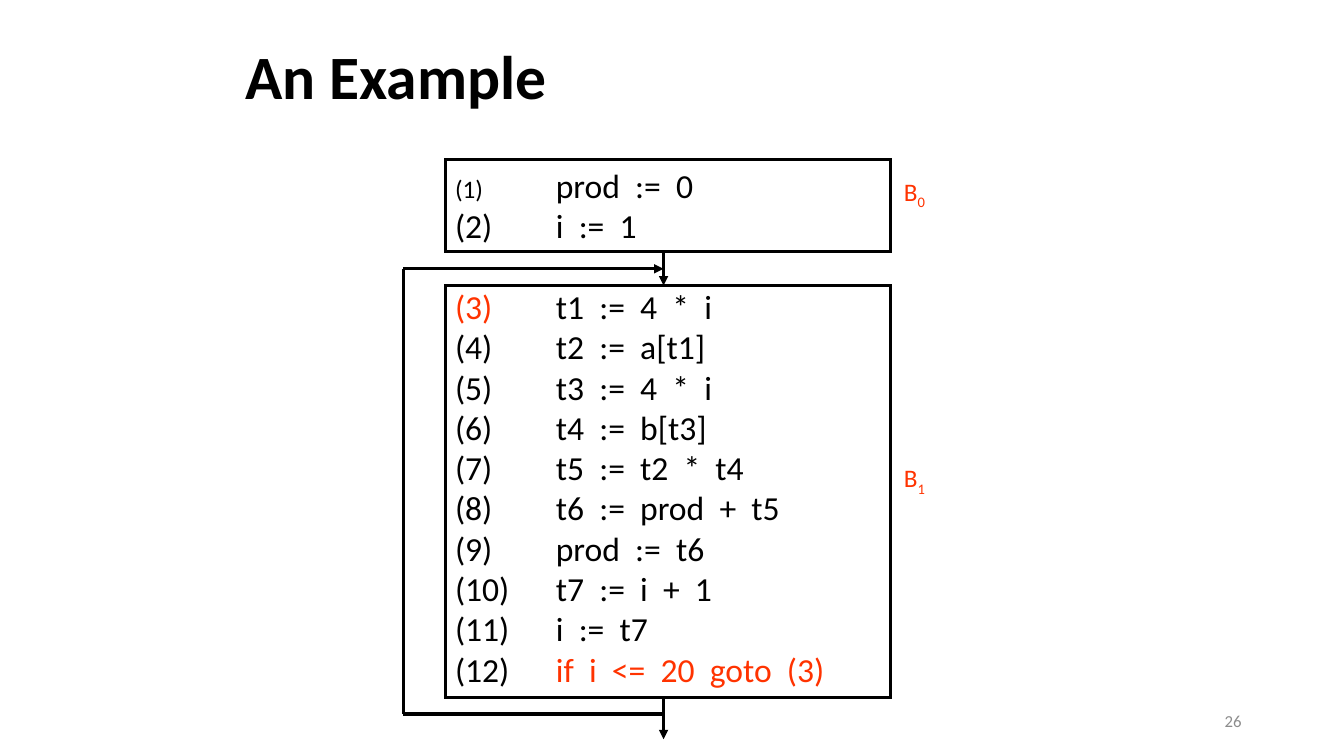
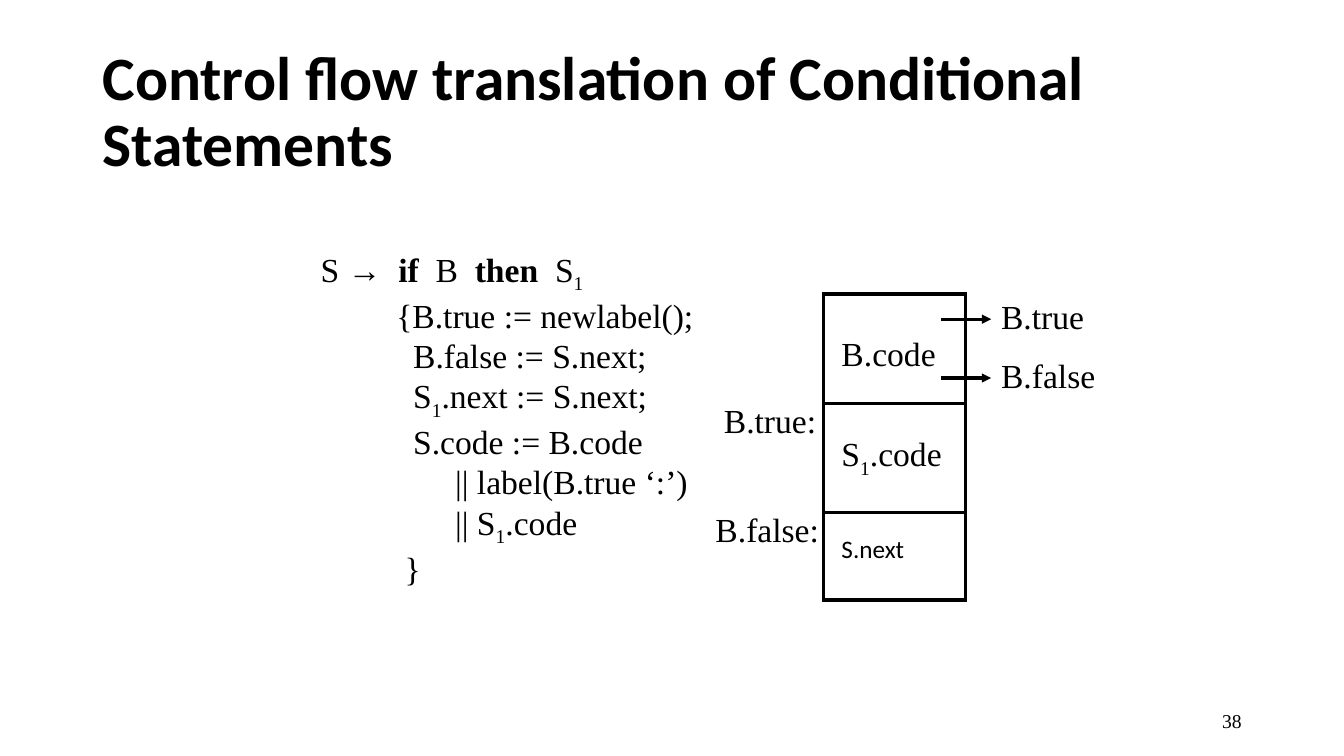
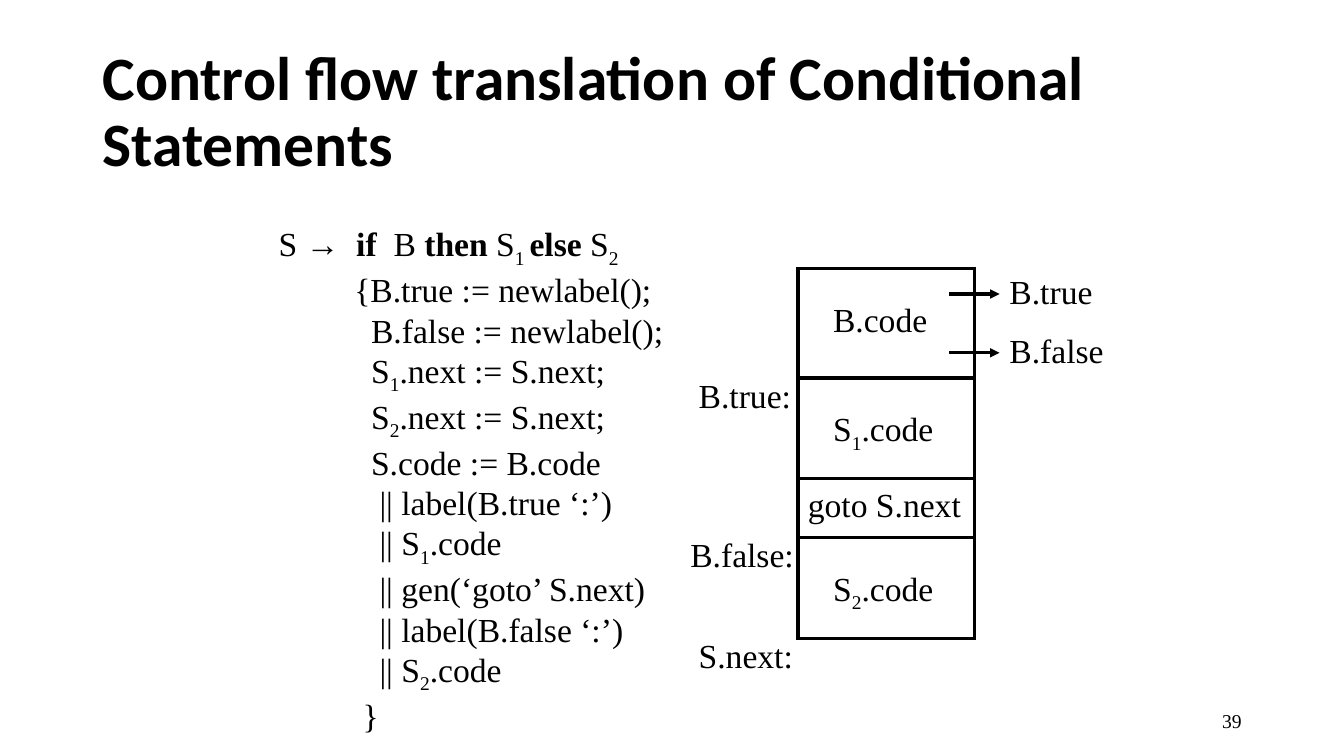
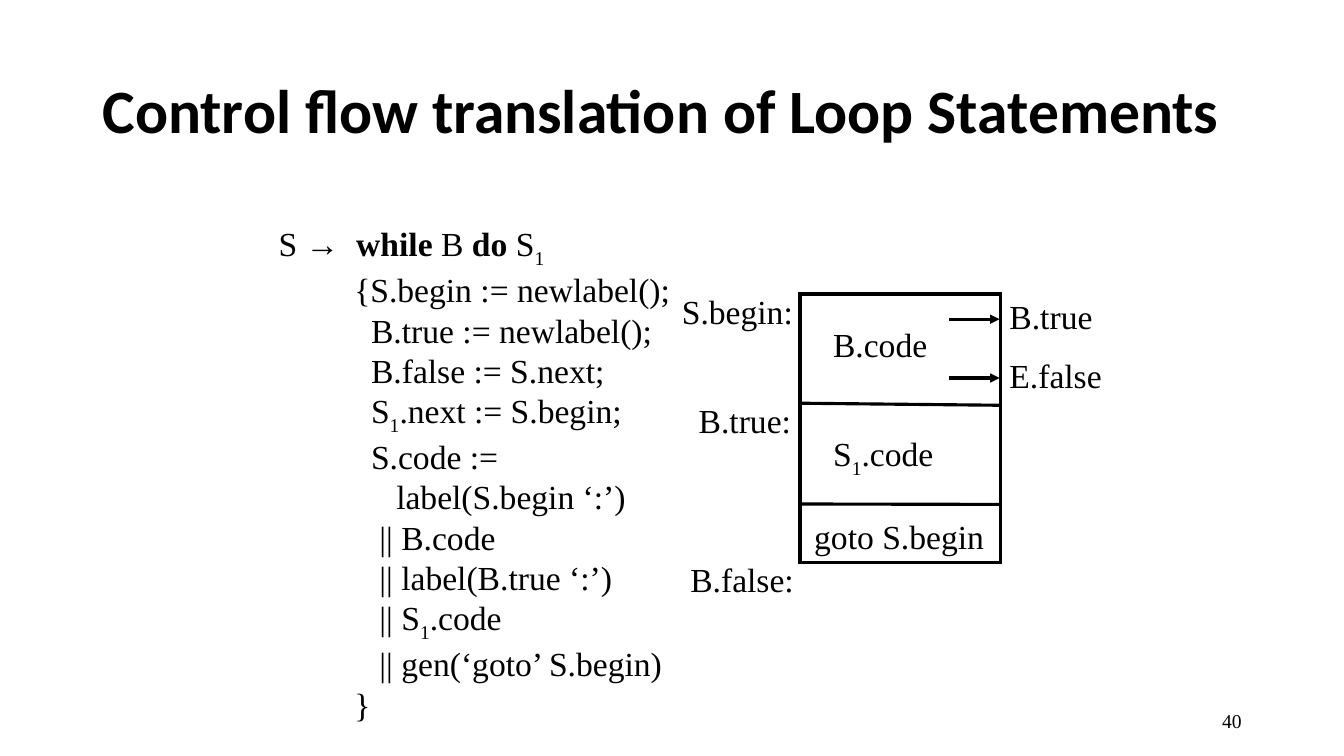
from pptx import Presentation
from pptx.dml.color import RGBColor
from pptx.enum import shapes, text
from pptx.oxml import xmlchemy as xc
from pptx.util import Pt

BLACK = RGBColor(0x00, 0x00, 0x00)
RED = RGBColor(0xFF, 0x33, 0x00)
GRAY = RGBColor(0x8C, 0x8C, 0x8C)

TITLE = {"name": "Calibri", "size": Pt(44), "bold": True, "color": BLACK}
SERIF = {"name": "Times New Roman", "size": Pt(24), "color": BLACK}
SANS = {"name": "Calibri", "size": Pt(24), "color": BLACK}
SMALL = {**SANS, "size": Pt(18)}
MARK = {**SMALL, "color": RED}
PAGE = {**SERIF, "size": Pt(14)}
PALE = {"name": "Calibri", "size": Pt(12), "color": GRAY}

SPACE = 6    # width of one indent step in code
STEM = 55.4  # where the rule's right side starts
NUMB = 72    # where a numbered statement starts
EXIT = 36    # length of an exit arrow
STEP = 42    # gap between exit arrows


def sub(word):
    """Return a subscript run."""
    return word, {"base": -25000}


def bold(word):
    """Return a bold run."""
    return word, {"bold": True}


def red(word):
    """Return a red run."""
    return word, {"color": RED}


ONE, TWO = sub("1"), sub("2")
S1 = ("S", ONE, ".code")
S2 = ("S", TWO, ".code")


def style(run, form):
    """Apply a dict of format values to a run."""
    for key, val in form.items():
        if key == "color":
            run.font.color.rgb = val
        elif key == "base":
            run.font._element.set("baseline", str(val))
        else:
            setattr(run.font, key, val)


def fill(para, runs, form):
    """Write runs, plain or with their own format, into a paragraph."""
    for item in runs:
        word, more = (item, {}) if isinstance(item, str) else item
        run = para.add_run()
        run.text = word
        style(run, {**form, **more})


def write(slide, box, lines, form):
    """Add a text box with one paragraph for each tuple of runs."""
    frame = slide.shapes.add_textbox(*map(Pt, box)).text_frame
    frame.word_wrap = True
    for num, runs in enumerate(lines):
        para = frame.add_paragraph() if num else frame.paragraphs[0]
        fill(para, runs, form)
    return frame


def label(slide, left, top, *runs, width=100, form=SERIF):
    """Add a one-line label."""
    write(slide, (left, top, width, 36), [runs], form)


def append(node, tag, **vals):
    """Append an XML child and return it."""
    child = node.makeelement(xc.qn(tag), vals)
    node.append(child)
    return child


def tab(para, left):
    """Set the tab stop of a paragraph."""
    stops = append(para._p.get_or_add_pPr(), "a:tabLst")
    append(stops, "a:tab", pos=str(Pt(left)), algn="l")


def code(slide, box, head, lines):
    """Add a grammar rule and its action, each line with an indent step."""
    rows = [head] + [runs for _, *runs in lines]
    paras = write(slide, box, rows, SERIF).paragraphs
    tab(paras[0], STEM)
    for para, (step, *_) in zip(paras[1:], lines):
        prop = para._p.get_or_add_pPr()
        prop.set("marL", str(Pt(step * SPACE)))
        prop.set("indent", "0")


def frame(slide, left, top, width, height, cuts=()):
    """Add an outlined box, split by level lines."""
    box = slide.shapes.add_shape(
        shapes.MSO_SHAPE.RECTANGLE, *map(Pt, (left, top, width, height)))
    box.shadow.inherit = False
    box.fill.background()
    box.line.color.rgb = BLACK
    box.line.width = Pt(2.25)
    append(box.line._get_or_add_ln(), "a:miter", lim="800000")
    for y in cuts:
        line(slide, (left, y), (left + width, y))


def line(slide, start, end, arrow=False):
    """Add a straight line, with an arrowhead at its end if asked."""
    link = slide.shapes.add_connector(
        shapes.MSO_CONNECTOR.STRAIGHT, *map(Pt, start + end))
    link.line.color.rgb = BLACK
    link.line.width = Pt(2.25)
    if arrow:
        append(link.line._get_or_add_ln(), "a:tailEnd", type="triangle")
    append(link._element.spPr, "a:effectLst")


def exits(slide, left, top, names):
    """Add arrows that leave the test, each with its target."""
    for num, name in enumerate(names):
        y = top + num * STEP
        line(slide, (left, y), (left + EXIT, y), True)
        label(slide, left + EXIT, y - 20, name)


def place(shape, box):
    """Set the place and size of a shape."""
    for key, val in zip(("left", "top", "width", "height"), box):
        setattr(shape, key, Pt(val))


def start(deck, title, page, form=PAGE):
    """Add a slide with its title and page number."""
    slide = deck.slides.add_slide(deck.slide_layouts[5])
    head = slide.shapes.title.text_frame
    head.auto_size = text.MSO_AUTO_SIZE.NONE
    head.vertical_anchor = text.MSO_ANCHOR.MIDDLE
    para = head.paragraphs[0]
    para.alignment = text.PP_ALIGN.LEFT
    para.line_spacing = 0.9
    fill(para, [title], TITLE)
    foot = write(slide, (678, 500.4, 216, 28.8), [(page,)], form)
    foot.vertical_anchor = text.MSO_ANCHOR.MIDDLE
    foot.paragraphs[0].alignment = text.PP_ALIGN.RIGHT
    return slide


def blocks(deck):
    """Build the slide with the basic blocks of a loop."""
    slide = start(deck, "An Example", "26", PALE)
    place(slide.shapes.title, (168, 12, 612, 90))
    steps = [
        (("(1)\t", {"size": Pt(18)}), "prod  :=  0"),
        ("(2)\ti  :=  1",),
        (red("(3)"), "\tt1  :=  4  *  i"),
        ("(4)\tt2  :=  a[t1]",),
        ("(5)\tt3  :=  4  *  i",),
        ("(6)\tt4  :=  b[t3]",),
        ("(7)\tt5  :=  t2  *  t4",),
        ("(8)\tt6  :=  prod  +  t5",),
        ("(9)\tprod  :=  t6",),
        ("(10)\tt7  :=  i  +  1",),
        ("(11)\ti  :=  t7",),
        ("(12)\t", red("if  i  <=  20  goto  (3)")),
    ]
    body = write(slide, (318, 114, 318, 385), steps, SANS)
    body.paragraphs[2].space_before = Pt(29)
    for para in body.paragraphs:
        tab(para, NUMB)
    frame(slide, 318, 114, 318, 66)
    frame(slide, 318, 204, 318, 294)
    line(slide, (474, 180), (474, 204), True)
    line(slide, (474, 498), (474, 528), True)
    line(slide, (474, 510), (288, 510))
    line(slide, (288, 510), (288, 192))
    line(slide, (288, 192), (474, 192), True)
    for num, top in (("0", 122.4), ("1", 327)):
        label(slide, 638.6, top, "B", sub(num), width=36, form=MARK)


def branch(deck):
    """Build the slide for if-then."""
    slide = start(
        deck, "Control flow translation of Conditional Statements", "38")
    head = ("S →\t", bold("if"), "  B  ", bold("then"), "  S", ONE)
    code(slide, (222, 174, 290, 240), head, [
        (9, "{B.true := newlabel();"),
        (11, "B.false := S.next;"),
        (11, "S", ONE, ".next := S.next;"),
        (11, "S.code := B.code"),
        (16, "|| label(B.true ‘:’)"),
        (16, "|| ", *S1),
        (10, "}"),
    ])
    frame(slide, 588, 210, 102, 156, [288])
    frame(slide, 588, 366, 102, 62.6)
    label(slide, 594, 234, "B.code")
    label(slide, 594, 306, *S1)
    label(slide, 594, 377.7, "S.next", form=SMALL)
    label(slide, 510, 282, "B.true:")
    label(slide, 504, 360, "B.false:")
    exits(slide, 672, 228, ["B.true", "B.false"])


def choice(deck):
    """Build the slide for if-then-else."""
    slide = start(
        deck, "Control flow translation of Conditional Statements", "39")
    head = ("S →\t", bold("if"), "  B ", bold("then"), " S", sub("1 "),
            bold("else"), " S", TWO)
    code(slide, (192, 156, 300, 356), head, [
        (9, "{B.true := newlabel();"),
        (11, "B.false := newlabel();"),
        (11, "S", ONE, ".next := S.next;"),
        (11, "S", TWO, ".next := S.next;"),
        (11, "S.code := B.code"),
        (12, "|| label(B.true ‘:’)"),
        (12, "|| ", *S1),
        (12, "|| gen(‘goto’ S.next)"),
        (12, "|| label(B.false ‘:’)"),
        (12, "|| ", *S2),
        (10, "}"),
    ])
    frame(slide, 570, 192, 126, 264, [270, 342, 384])
    label(slide, 588, 210, "B.code")
    label(slide, 588, 288, *S1)
    label(slide, 570, 342, "goto S.next", width=130)
    label(slide, 588, 402, *S2)
    label(slide, 492, 264, "B.true:")
    label(slide, 486, 378, "B.false:")
    label(slide, 492, 450, "S.next:")
    exits(slide, 678, 210, ["B.true", "B.false"])


def loop(deck):
    """Build the slide for while-do."""
    slide = start(deck, "Control flow translation of Loop Statements", "40")
    head = ("S →\t", bold("while"), " B ", bold("do"), " S", ONE)
    code(slide, (192, 156, 304, 356), head, [
        (9, "{S.begin := newlabel();"),
        (11, "B.true := newlabel();"),
        (11, "B.false := S.next;"),
        (11, "S", ONE, ".next := S.begin;"),
        (11, "S.code :="),
        (14, "label(S.begin ‘:’)"),
        (12, "|| B.code"),
        (12, "|| label(B.true ‘:’)"),
        (12, "|| ", *S1),
        (12, "|| gen(‘goto’ S.begin)"),
        (9, "}"),
    ])
    frame(slide, 571.5, 210, 143.5, 192)
    line(slide, (570.5, 288), (714.5, 289.5))
    line(slide, (570.5, 360), (714.5, 360.3))
    label(slide, 588, 228, "B.code")
    label(slide, 588, 306, *S1)
    label(slide, 574.5, 365, "goto S.begin", width=144)
    label(slide, 480, 204, "S.begin:")
    label(slide, 492, 282, "B.true:")
    label(slide, 486, 396, "B.false:")
    exits(slide, 678, 228, ["B.true", "E.false"])


def main():
    """Build and save the deck."""
    deck = Presentation()
    deck.slide_width, deck.slide_height = Pt(960), Pt(540)
    place(deck.slide_layouts[5].placeholders[0], (66, 28.8, 828, 104.4))
    for build in (blocks, branch, choice, loop):
        build(deck)
    deck.save("out.pptx")


main()
